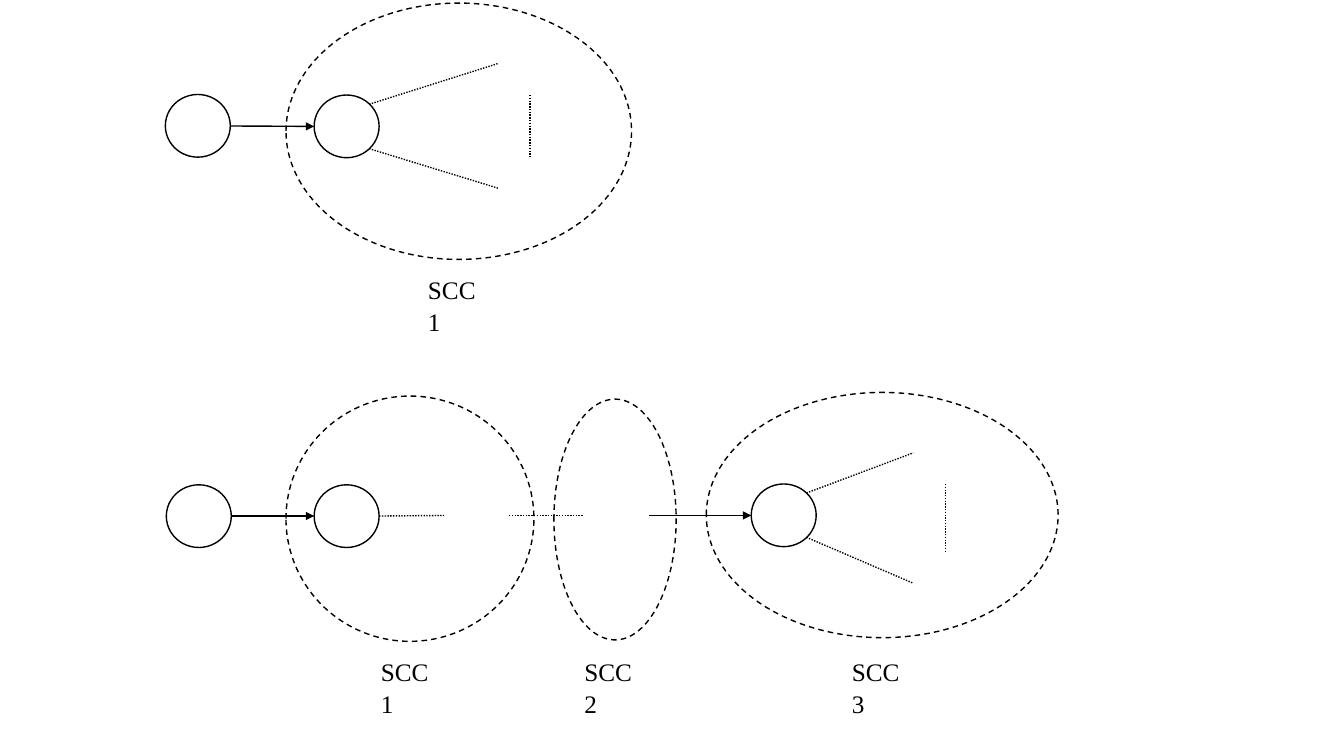
from lxml import etree
from pptx import Presentation
from pptx import util as u
from pptx.dml.color import RGBColor
from pptx.enum import dml, shapes, text
from pptx.oxml import ns

BLACK = RGBColor(0, 0, 0)
WHITE = RGBColor(255, 255, 255)
FONT = "Times New Roman"
NODE_SIZE = (46.4, 44.8)
LABEL_SIZE = (58.3, 29)

nodes = [(118.1, 67.5), (224.4, 67.9), (118.8, 346.3), (224.4, 346.3), (536.6, 345.7)]
arrows = [
    (164.5, 90, 224.4, 90.3),
    (165.2, 368.6, 224.4, 368.6),
    (463.7, 368.2, 536.6, 368.2),
]
dotted_lines = [
    (263.7, 106.2, 355.7, 134.4),
    (263.7, 74.5, 355.7, 45.4),
    (378.7, 67.9, 378.7, 112.3),
    (363.6, 368.2, 416.6, 368.2),
    (270.8, 368.6, 317.3, 368.2),
    (576, 383.8, 652.3, 416.6),
    (576, 352.2, 652.3, 323.5),
    (675.4, 345.7, 675.4, 394.4),
]
components = [
    ("SCC 1", (204.3, 2.2, 246.8, 183.1), (298.6, 190.8)),
    ("SCC 1", (204.3, 282.9, 177.1, 175.2), (265, 463.7)),
    ("SCC 3", (504.5, 280.3, 251.3, 175.2), (601.3, 463.7)),
    ("SCC 2", (395.7, 285.1, 87.3, 172), (410.3, 463.7)),
]

presentation = Presentation()
presentation.slide_width = u.Pt(960)
presentation.slide_height = u.Pt(540)
slide = presentation.slides.add_slide(presentation.slide_layouts[6])


def points(values):
    return [u.Pt(value) for value in values]


def format_line(line, dash=None):
    line.color.rgb = BLACK
    line.width = u.Pt(1)
    if dash is not None:
        line.dash_style = dash


def add_ellipse(box, fill=None, dash=None):
    shape = slide.shapes.add_shape(shapes.MSO_SHAPE.OVAL, *points(box))
    shape.shadow.inherit = False
    if fill is None:
        shape.fill.background()
    else:
        shape.fill.solid()
        shape.fill.fore_color.rgb = fill
    format_line(shape.line, dash)


def add_line(ends, dash=None, arrow=False):
    connector = slide.shapes.add_connector(shapes.MSO_CONNECTOR.STRAIGHT, *points(ends))
    format_line(connector.line, dash)
    if arrow:
        outline = connector.line._get_or_add_ln()
        etree.SubElement(outline, ns.qn("a:tailEnd"), type="triangle")
    etree.SubElement(connector._element.spPr, ns.qn("a:effectLst"))


def add_text(content, position, size=18, font=FONT, color=BLACK, spacing=1.07):
    frame = slide.shapes.add_textbox(*points(position + LABEL_SIZE)).text_frame
    frame.word_wrap = True
    frame.auto_size = text.MSO_AUTO_SIZE.NONE
    paragraph = frame.paragraphs[0]
    paragraph.line_spacing = spacing
    run = paragraph.add_run()
    run.text = content
    run.font.size = u.Pt(size)
    run.font.name = font
    run.font.color.rgb = color


for position in nodes:
    add_ellipse(position + NODE_SIZE, fill=WHITE)
for ends in arrows:
    add_line(ends, arrow=True)
for ends in dotted_lines:
    add_line(ends, dash=dml.MSO_LINE.ROUND_DOT)
for label, box, label_position in components:
    add_ellipse(box, dash=dml.MSO_LINE.DASH)
    add_text(label, label_position)

presentation.save("out.pptx")
